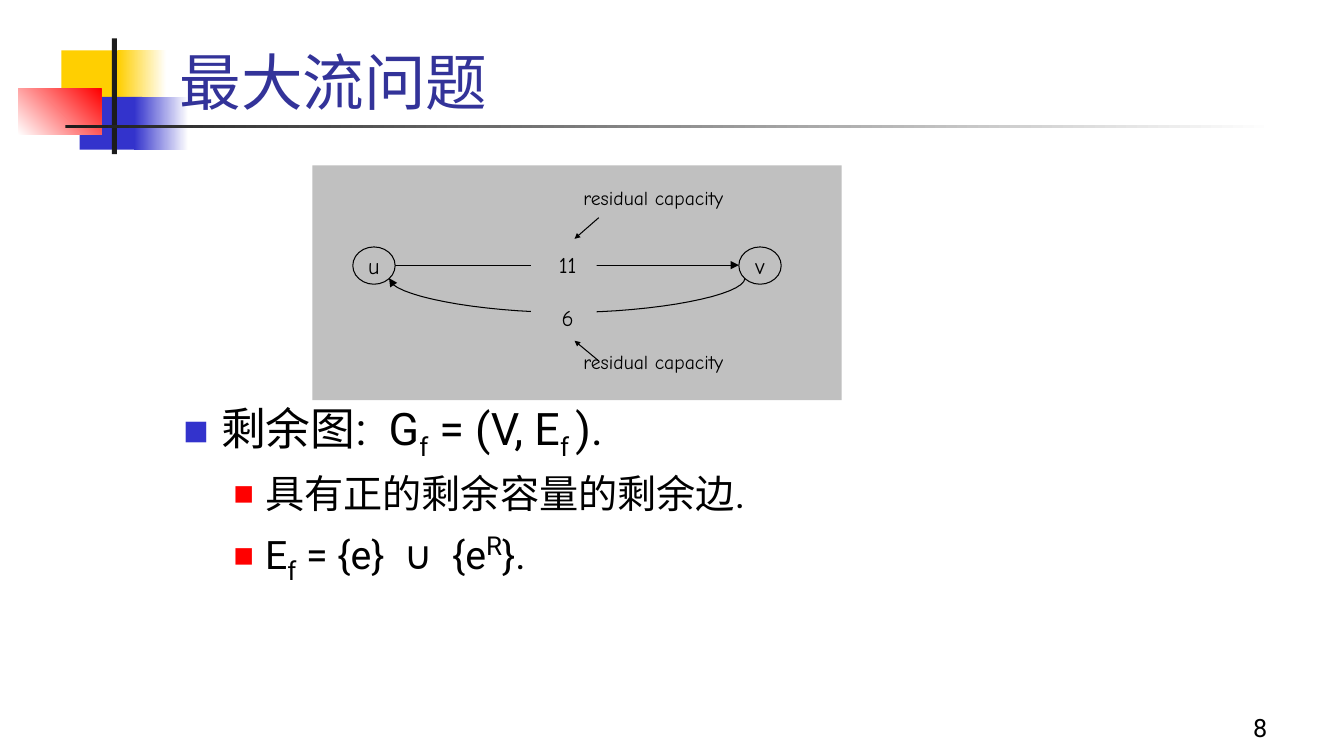
from lxml import etree
from pptx import Presentation
from pptx.dml.color import RGBColor
from pptx.enum.shapes import MSO_CONNECTOR, MSO_SHAPE
from pptx.enum.text import MSO_ANCHOR, MSO_AUTO_SIZE, PP_ALIGN
from pptx.oxml.ns import qn
from pptx.util import Pt

RECTANGLE, OVAL = MSO_SHAPE.RECTANGLE, MSO_SHAPE.OVAL
STRAIGHT = MSO_CONNECTOR.STRAIGHT
TOP, MIDDLE, BOTTOM = MSO_ANCHOR.TOP, MSO_ANCHOR.MIDDLE, MSO_ANCHOR.BOTTOM
LEFT, CENTER, RIGHT = PP_ALIGN.LEFT, PP_ALIGN.CENTER, PP_ALIGN.RIGHT
NO_FIT = MSO_AUTO_SIZE.NONE

BLACK = RGBColor(0x00, 0x00, 0x00)
WHITE = RGBColor(0xFF, 0xFF, 0xFF)
CHARCOAL = RGBColor(0x1C, 0x1C, 0x1C)
GRAY = RGBColor(0xC0, 0xC0, 0xC0)
YELLOW = RGBColor(0xFF, 0xCF, 0x01)
BLUE = RGBColor(0x33, 0x33, 0xCC)
RED = RGBColor(0xFF, 0x00, 0x00)
NAVY = RGBColor(0x33, 0x33, 0x99)

BODY_FONT, DIAGRAM_FONT = "Roboto", "Comic Neue"
LINE_WIDTH = 0.75
CURVE_STEPS = 16

DECORATIONS = [
    ((43.92, 36, 46.08, 37.44), [YELLOW], 0),
    ((84.24, 36, 34.56, 37.44), [YELLOW, WHITE], 0),
    ((56.88, 69.12, 44.64, 37.8), [BLUE], 0),
    ((95.76, 69.12, 38.88, 37.8), [BLUE, WHITE], 0),
    ((13.2, 63.36, 59.04, 33.12), [WHITE, RED], 45),
    ((79.92, 27.36, 3.6, 82.8), [CHARCOAL], 0),
    ((46.8, 89.28, 864, 2.3), [CHARCOAL, WHITE], 0),
]

BODY = [
    (0, 32, [("剩余图:  G", 32, 0), ("f", 32, -25), (" = (V, E", 32, 0),
             ("f ", 32, -25), (").", 32, 0)]),
    (1, 28, [("具有正的剩余容量的剩余边.", 28, 0)]),
    (1, 28, [("E", 28, 0), ("f", 32, -25), (" = {e}  ∪  {e", 28, 0),
             ("R", 32, 30), ("}.", 28, 0)]),
]
LEVELS = [(27, -27, BLUE, 60), (58.5, -22.5, RED, 55)]


def apply(target, values):
    for name, value in values.items():
        setattr(target, name, value)


def style_span(span, size, font=BODY_FONT, color=BLACK):
    apply(span.font, {"name": font, "size": Pt(size)})
    span.font.color.rgb = color


def set_frame(frame, anchor, margins=(7.2, 3.6), wrap=True):
    side, edge = map(Pt, margins)
    apply(frame, {"auto_size": NO_FIT, "word_wrap": wrap, "vertical_anchor": anchor,
                  "margin_left": side, "margin_right": side,
                  "margin_top": edge, "margin_bottom": edge})


def write(shape, text, size, align, anchor, font=BODY_FONT, color=BLACK, **layout):
    set_frame(shape.text_frame, anchor, **layout)
    para = shape.text_frame.paragraphs[0]
    para.alignment = align
    span = para.add_run()
    span.text = text
    style_span(span, size, font, color)


def add_block(page, kind, area, colors, angle=0, outline=False):
    shape = page.shapes.add_shape(kind, *map(Pt, area))
    shape.shadow.inherit = False
    if len(colors) == 1:
        shape.fill.solid()
        shape.fill.fore_color.rgb = colors[0]
    else:
        shape.fill.gradient()
        shape.fill.gradient_angle = angle
        for stop, color, position in zip(shape.fill.gradient_stops, colors, (0, 1)):
            stop.position = position
            stop.color.rgb = color
    if outline:
        shape.line.color.rgb = BLACK
        shape.line.width = Pt(LINE_WIDTH)
    else:
        shape.line.fill.background()
    return shape


def add_label(page, text, area, size, align, anchor=TOP, kind=RECTANGLE, **layout):
    shape = add_block(page, kind, area, [GRAY], outline=kind == OVAL)
    write(shape, text, size, align, anchor, DIAGRAM_FONT, **layout)


def style_arrow(line, head_size):
    line.color.rgb = BLACK
    line.width = Pt(LINE_WIDTH)
    etree.SubElement(line._get_or_add_ln(), qn("a:tailEnd"),
                     type="triangle", w=head_size, len=head_size)


def add_arrow(page, start, end, head_size="med"):
    arrow = page.shapes.add_connector(STRAIGHT, *map(Pt, start + end))
    style_arrow(arrow.line, head_size)
    etree.SubElement(arrow._element.spPr, qn("a:effectLst"))


def cubic(t, a, b, c, d):
    s = 1 - t
    return s**3 * a + 3 * s * s * t * b + 3 * s * t * t * c + t**3 * d


def add_return_arrow(page, start_x, end_x, top, depth):
    middle = (start_x + end_x) / 2
    bend = (start_x + middle) / 2
    half = []
    for step in range(CURVE_STEPS + 1):
        t = step / CURVE_STEPS
        half.append((cubic(t, start_x, start_x, bend, middle),
                     top + cubic(t, 0, depth / 2, depth, depth)))
    points = half + [(2 * middle - x, y) for x, y in reversed(half[:-1])]
    points = [(Pt(x), Pt(y)) for x, y in points]
    builder = page.shapes.build_freeform(*points[0])
    builder.add_line_segments(points[1:], close=False)
    curve = builder.convert_to_shape()
    curve.shadow.inherit = False
    curve.fill.background()
    style_arrow(curve.line, "med")


def add_bullet(para, level):
    margin, indent, color, percent = LEVELS[level]
    props = para._p.get_or_add_pPr()
    props.set("marL", str(Pt(margin)))
    props.set("indent", str(Pt(indent)))
    tint = etree.SubElement(props, qn("a:buClr"))
    etree.SubElement(tint, qn("a:srgbClr"), val=str(color))
    etree.SubElement(props, qn("a:buSzPct"), val=str(percent * 1000))
    etree.SubElement(props, qn("a:buFont"), typeface=BODY_FONT)
    etree.SubElement(props, qn("a:buChar"), char="■")


def add_body(page):
    box = page.shapes.add_textbox(Pt(123.84), Pt(282.4), Pt(815.76), Pt(150))
    frame = box.text_frame
    set_frame(frame, TOP)
    for index, (level, size, pieces) in enumerate(BODY):
        para = frame.add_paragraph() if index else frame.paragraphs[0]
        add_bullet(para, level)
        para.level = level
        if index:
            para.space_before = Pt(size * 0.2)
        for text, span_size, baseline in pieces:
            span = para.add_run()
            span.text = text
            style_span(span, span_size)
            if baseline:
                span._r.get_or_add_rPr().set("baseline", str(baseline * 1000))


def add_title(page, text):
    title = page.shapes.title
    apply(title, {"left": Pt(120.96), "top": Pt(-2.16),
                  "width": Pt(817.92), "height": Pt(90)})
    write(title, text, 44, LEFT, BOTTOM, color=NAVY)
    title.element.getparent().append(title.element)


def add_diagram(page):
    add_block(page, RECTANGLE, (223.2, 118.1, 378, 167.8), [GRAY])
    add_arrow(page, (282.24, 189.4), (527.76, 189.4))
    for text, left in (("u", 252), ("v", 527.76)):
        add_label(page, text, (left, 176.4, 30.24, 26.64), 16, CENTER,
                  MIDDLE, OVAL, wrap=False)
    add_return_arrow(page, 532.1, 277.9, 198.7, 24.5)
    for text, top in ((" 11", 179.28), (" 6", 217.44)):
        add_label(page, text, (379.44, top, 46.8, 19.44), 16, CENTER, margins=(0, 0))
    for top in (129.6, 246.24):
        add_label(page, "residual capacity", (409.68, top, 184, 23.76), 14, LEFT)
    for start_y, end_y in ((155.5, 170.6), (257.8, 243.4)):
        add_arrow(page, (427.7, start_y), (410.4, end_y), "sm")


def main():
    deck = Presentation()
    apply(deck, {"slide_width": Pt(960), "slide_height": Pt(540)})
    page = deck.slides.add_slide(deck.slide_layouts[5])
    for area, colors, angle in DECORATIONS:
        add_block(page, RECTANGLE, area, colors, angle)
    add_title(page, "最大流问题")
    add_body(page)
    add_diagram(page)
    number = page.shapes.add_textbox(Pt(712.08), Pt(498.24), Pt(200.16), Pt(36))
    write(number, "8", 18, RIGHT, BOTTOM)
    deck.save("out.pptx")


if __name__ == "__main__":
    main()
